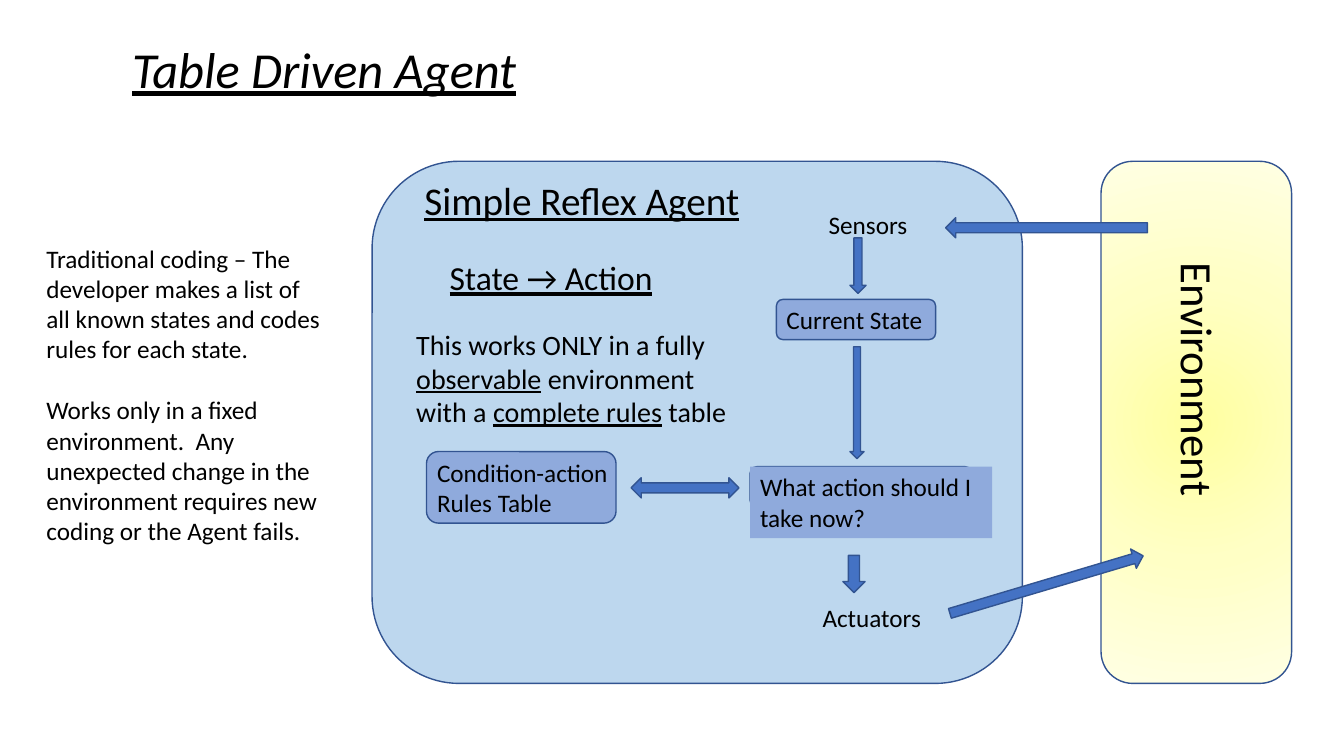
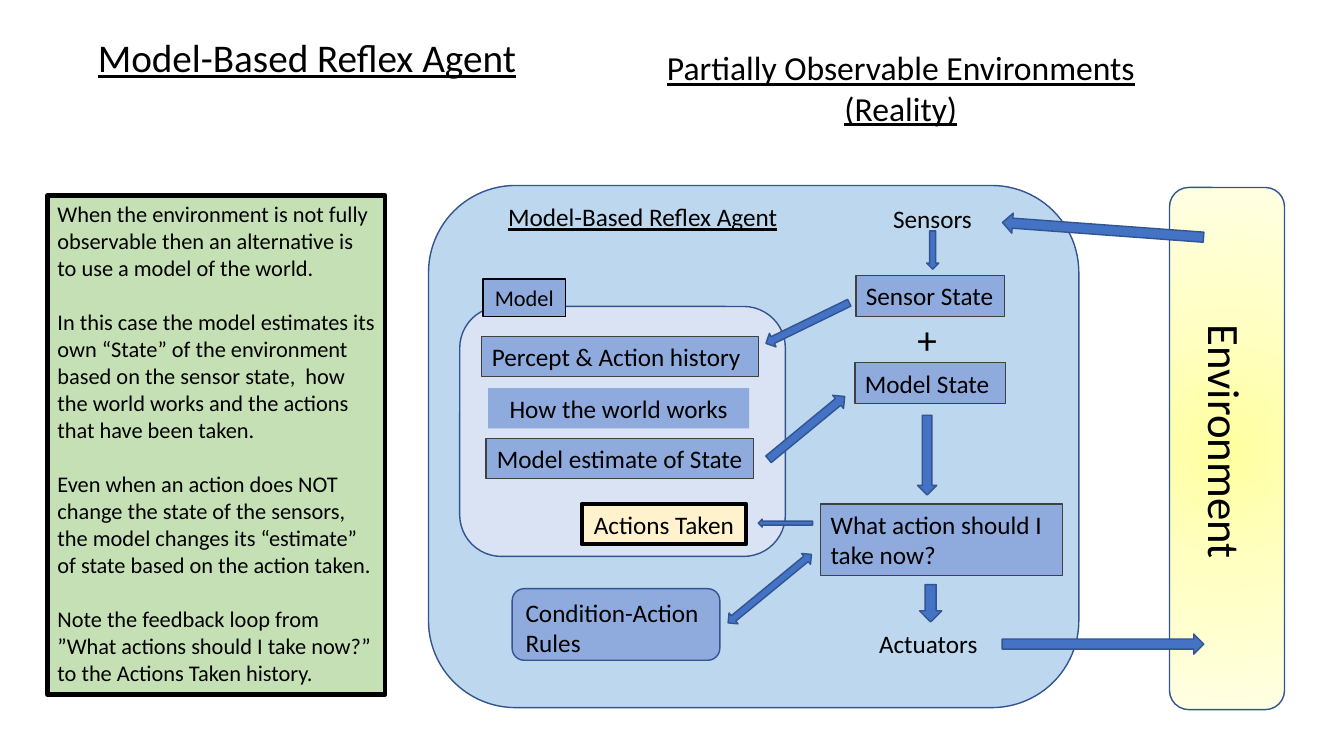
"""Builds two slides that compare table-driven and model-based reflex agents."""
from dataclasses import dataclass

from lxml import etree
from pptx import Presentation
from pptx.dml.color import RGBColor
from pptx.enum.shapes import MSO_SHAPE
from pptx.enum.text import MSO_ANCHOR, MSO_AUTO_SIZE, PP_ALIGN
from pptx.oxml import parse_xml
from pptx.oxml.ns import qn
from pptx.util import Inches, Pt

RECT, ROUND = MSO_SHAPE.RECTANGLE, MSO_SHAPE.ROUNDED_RECTANGLE
LEFT_ARROW, RIGHT_ARROW = MSO_SHAPE.LEFT_ARROW, MSO_SHAPE.RIGHT_ARROW
DOWN_ARROW, BOTH_ARROW = MSO_SHAPE.DOWN_ARROW, MSO_SHAPE.LEFT_RIGHT_ARROW
TOP, NO_FIT = MSO_ANCHOR.TOP, MSO_AUTO_SIZE.NONE
LEFT, CENTER = PP_ALIGN.LEFT, PP_ALIGN.CENTER

FONT = "Calibri"
LINE_HEIGHT = 1.22
COLORS = {
    "black": "000000", "outline": "325491", "edge": "404040",
    "arrow": "4472C4", "box": "8FAADC", "agent": "BDD7EE",
    "model": "DAE3F3", "note": "C5E0B4", "actions": "FFF2CC",
}
GLOW = ((0, "FFFFA0"), (50, "FFFFC5"), (100, "FFFFE3"))

Rect = tuple[float, float, float, float]


@dataclass
class Box:
    at: Rect
    text: str = ""
    size: int = 18
    fill: str | None = "box"
    line: str | None = "edge"
    width: float = 0.75
    kind: int = RECT
    align: int = LEFT
    pad: Rect = (0.1, 0.05, 0.1, 0.05)


@dataclass
class Arrow:
    kind: int
    at: Rect
    rot: float = 0


def rgb(name: str) -> RGBColor:
    return RGBColor.from_string(COLORS[name])


def place(sp, at: Rect, rot: float = 0) -> None:
    sp.left, sp.top, sp.width, sp.height = map(Inches, at)
    sp.rotation = rot


def paint(sp, fill: str | None, line: str | None, width: float = 1) -> None:
    if fill:
        sp.fill.solid()
        sp.fill.fore_color.rgb = rgb(fill)
    else:
        sp.fill.background()
    if line:
        sp.line.color.rgb = rgb(line)
        sp.line.width = Pt(width)
    else:
        sp.line.fill.background()


def write(tf, text: str, *, size: int, align: int = LEFT, italic: bool = False,
          gap: float = 0, pad: Rect = (0.1, 0.05, 0.1, 0.05)) -> None:
    """Writes paragraphs split at line ends; text between underscores is underlined."""
    tf.word_wrap, tf.auto_size, tf.vertical_anchor = True, NO_FIT, TOP
    tf.margin_left, tf.margin_top, tf.margin_right, tf.margin_bottom = map(Inches, pad)
    for i, line in enumerate(text.split("\n")):
        p = tf.add_paragraph() if i else tf.paragraphs[0]
        p.alignment = align
        p.space_before, p.space_after = Pt(0), Pt(gap)
        for j, part in enumerate(line.split("_")):
            if part:
                r = p.add_run()
                r.text = part
                r.font.name, r.font.size = FONT, Pt(size)
                r.font.color.rgb = rgb("black")
                r.font.italic, r.font.underline = italic, j % 2 == 1


def add_box(slide, box: Box) -> None:
    if box.fill:
        sp = slide.shapes.add_shape(box.kind, *map(Inches, box.at))
        sp.shadow.inherit = False
        paint(sp, box.fill, box.line, box.width)
    else:
        sp = slide.shapes.add_textbox(*map(Inches, box.at))
    if box.text:
        write(sp.text_frame, box.text, size=box.size, align=box.align, pad=box.pad)


def add_arrow(slide, arrow: Arrow) -> None:
    sp = slide.shapes.add_shape(arrow.kind, *map(Inches, arrow.at))
    sp.shadow.inherit = False
    sp.rotation = arrow.rot
    paint(sp, "arrow", "outline")


def panel(at: Rect, fill: str = "box", text: str = "", **kw) -> Box:
    return Box(at, text, fill=fill, line="outline", width=1, kind=ROUND, **kw)


def label(at: Rect, text: str, size: int = 18, align: int = LEFT) -> Box:
    return Box(at, text, size, fill=None, line=None, align=align)


def add_environment(slide, at: Rect, text_at: Rect) -> None:
    sp = slide.shapes.add_shape(ROUND, *map(Inches, at))
    sp.shadow.inherit = False
    paint(sp, None, "outline")
    stops = "".join(f'<a:gs pos="{pos * 1000}"><a:srgbClr val="{c}"/></a:gs>' for pos, c in GLOW)
    grad = parse_xml(
        '<a:gradFill xmlns:a="http://schemas.openxmlformats.org/drawingml/2006/main">'
        f'<a:gsLst>{stops}</a:gsLst><a:path path="circle">'
        '<a:fillToRect l="50000" t="50000" r="50000" b="50000"/></a:path></a:gradFill>')
    spPr = sp._element.spPr
    spPr.replace(spPr.find(qn("a:noFill")), grad)
    sp = slide.shapes.add_textbox(*map(Inches, text_at))
    sp.rotation = 90
    write(sp.text_frame, "Environment", size=32)


def add_slide(prs, title: str, title_at: Rect, title_size: int, italic: bool,
              body: str, body_at: Rect, body_size: int):
    slide = prs.slides.add_slide(prs.slide_layouts[1])
    sp = slide.shapes.title
    place(sp, title_at)
    write(sp.text_frame, title, size=title_size, italic=italic)
    sp = slide.placeholders[1]
    place(sp, body_at)
    write(sp.text_frame, body, size=body_size, gap=body_size * LINE_HEIGHT)
    for p in sp.text_frame.paragraphs:
        pPr = p._p.get_or_add_pPr()
        pPr.set("marL", "0")
        pPr.set("indent", "0")
        etree.SubElement(pPr, qn("a:buNone"))
    return slide


def add_diagram(slide, agent_at: Rect, env_at: Rect, env_text_at: Rect,
                boxes: list[Box], arrows: list[Arrow]) -> None:
    add_box(slide, panel(agent_at, "agent"))
    add_environment(slide, env_at, env_text_at)
    for box in boxes:
        add_box(slide, box)
    for arrow in arrows:
        add_arrow(slide, arrow)


def build_table_driven(prs) -> None:
    slide = add_slide(
        prs, "_Table Driven Agent_", (1.21, 0.33, 4.74, 0.71), 36, True,
        "Traditional coding – The developer makes a list of all known states and codes "
        "rules for each state.\n"
        "Works only in a fixed environment.  Any unexpected change in the environment "
        "requires new coding or the Agent fails.",
        (0.36, 2.36, 2.98, 3.13), 18)
    boxes = [
        label((4.11, 1.7, 3.45, 0.57), "_Simple Reflex Agent_", 28),
        label((4.36, 2.5, 2.59, 0.5), "_State → Action_", 24),
        label((4.03, 3.2, 3.31, 1.11),
              "This works ONLY in a fully _observable_ environment with a "
              "_complete rules_ table", 20),
        label((8.12, 2.03, 1.07, 0.49), "Sensors"),
        label((8.06, 5.93, 1.47, 0.49), "Actuators"),
        panel((7.7, 2.97, 1.58, 0.4), text="Current State", pad=(0.08, 0.03, 0, 0)),
        panel((4.23, 4.48, 1.88, 0.71), text="Condition-action Rules Table",
              pad=(0.07, 0.02, 0, 0)),
        panel((7.44, 4.63, 2.2, 0.4), "arrow"),
        Box((7.44, 4.63, 2.4, 0.71), "What action should I take now?", line=None),
    ]
    arrows = [
        Arrow(LEFT_ARROW, (9.38, 2.16, 2, 0.2)),
        Arrow(RIGHT_ARROW, (9.38, 5.7, 2, 0.2), 343.4),
        Arrow(DOWN_ARROW, (8.43, 2.36, 0.16, 0.55)),
        Arrow(DOWN_ARROW, (8.43, 3.44, 0.14, 1.11)),
        Arrow(DOWN_ARROW, (8.36, 5.51, 0.22, 0.37)),
        Arrow(BOTH_ARROW, (6.26, 4.74, 1.07, 0.2)),
    ]
    add_diagram(slide, (3.69, 1.6, 6.45, 5.18), (10.92, 1.6, 1.89, 5.18),
                (10.19, 3.84, 3.35, 0.68), boxes, arrows)


def build_model_based(prs) -> None:
    slide = add_slide(
        prs, "_Model-Based Reflex Agent_", (0.87, 0.28, 4.58, 0.57), 28, False,
        "When the environment is not fully observable then an alternative is to use a "
        "model of the world.\n"
        "In this case the model estimates its own “State” of the environment based on "
        "the sensor state,  how the world works and the actions that have been taken.\n"
        "Even when an action does NOT change the state of the sensors, the model changes "
        "its “estimate” of state based on the action taken.\n"
        "Note the feedback loop from ”What actions should I take now?” to the Actions "
        "Taken history.",
        (0.47, 1.94, 3.35, 4.95), 16)
    paint(slide.placeholders[1], "note", "black", 3)
    add_box(slide, label((6.27, 0.42, 5.33, 0.91),
                         "_Partially Observable Environments_\n_(Reality)_", 24, CENTER))
    boxes = [
        label((4.94, 1.95, 2.91, 0.4), "_Model-Based Reflex Agent_"),
        label((8.76, 1.97, 1.07, 0.4), "Sensors"),
        label((8.62, 6.18, 1.47, 0.4), "Actuators"),
        Box((8.49, 2.73, 1.47, 0.41), "Sensor State"),
        label((9, 3.08, 0.34, 0.57), "+", 28),
        Box((8.48, 3.6, 1.49, 0.4), "Model State"),
        Box((8.14, 5, 2.4, 0.71), "What action should I take now?"),
        panel((5.08, 5.84, 2.06, 0.71), text="Condition-Action\nRules"),
        panel((4.56, 3.04, 3.23, 2.48), "model"),
        Box((4.79, 2.77, 0.82, 0.37), "Model", 16, line="black", width=1, align=CENTER),
        Box((4.78, 3.34, 2.74, 0.4), "Percept & Action history"),
        Box((4.84, 3.85, 2.59, 0.4), "How the world works", line=None, align=CENTER),
        Box((4.82, 4.35, 2.65, 0.4), "Model estimate of State", align=CENTER),
        Box((5.77, 5, 1.63, 0.4), "Actions Taken", fill="actions", line="black",
            width=3, align=CENTER),
    ]
    arrows = [
        Arrow(LEFT_ARROW, (9.94, 2.18, 2, 0.2), 4.2),
        Arrow(RIGHT_ARROW, (9.94, 6.29, 2, 0.2)),
        Arrow(DOWN_ARROW, (9.19, 2.29, 0.12, 0.38)),
        Arrow(DOWN_ARROW, (9.1, 4.12, 0.19, 0.79)),
        Arrow(DOWN_ARROW, (9.12, 5.8, 0.22, 0.37)),
        Arrow(BOTH_ARROW, (7.1, 5.77, 1.07, 0.14), 320.6),
        Arrow(LEFT_ARROW, (7.55, 3.13, 0.92, 0.15), 334),
        Arrow(RIGHT_ARROW, (7.51, 4.16, 0.98, 0.17), 320.5),
        Arrow(LEFT_ARROW, (7.52, 5.15, 0.54, 0.08)),
    ]
    add_diagram(slide, (4.25, 1.84, 6.45, 5.18), (11.6, 1.86, 1.14, 5.18),
                (10.46, 4.46, 3.35, 0.68), boxes, arrows)


def main() -> None:
    prs = Presentation()
    prs.slide_width, prs.slide_height = Inches(13.33), Inches(7.5)
    build_table_driven(prs)
    build_model_based(prs)
    prs.save("out.pptx")


if __name__ == "__main__":
    main()
